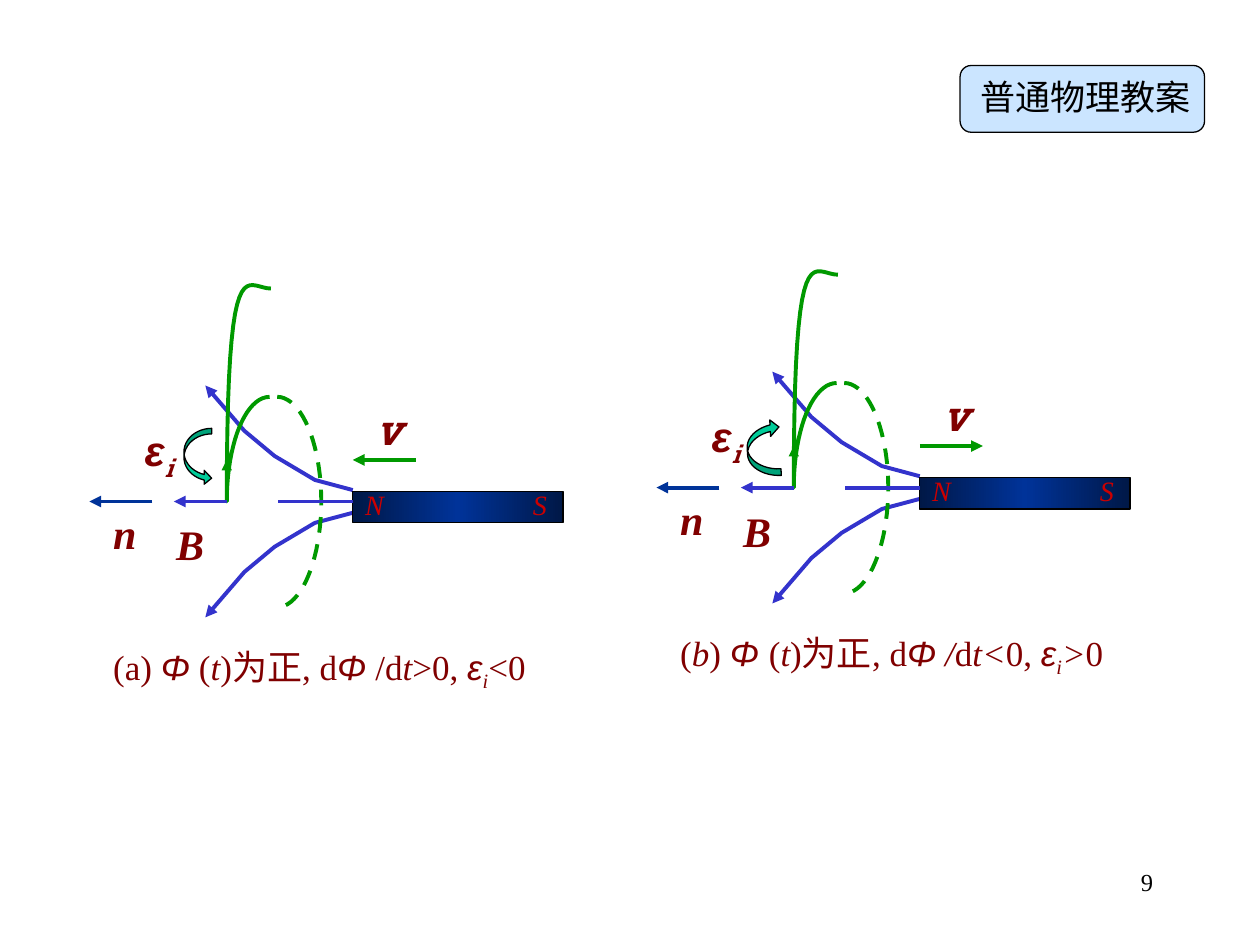
from copy import deepcopy
from dataclasses import dataclass

from lxml.etree import SubElement
from pptx import Presentation
from pptx.dml.color import RGBColor
from pptx.enum.dml import MSO_LINE
from pptx.enum.shapes import MSO_CONNECTOR, MSO_SHAPE
from pptx.enum.text import PP_ALIGN
from pptx.oxml.ns import qn
from pptx.util import Inches, Pt


@dataclass(frozen=True)
class Theme:
    black: str = "000000"
    field: str = "3333CC"
    coil: str = "009900"
    magnet: str = "003399"
    magnet_edge: str = "001847"
    pole: str = "CC0000"
    label: str = "800000"
    turn: str = "00CC99"
    banner: str = "99CCFF"
    serif: str = "Times New Roman"
    sans: str = "Arial"
    slab: str = "Roboto Slab"
    number_size: float = 14
    pole_size: float = 16
    text_size: float = 20
    symbol_size: float = 24
    thin: float = 0.75
    medium: float = 1.5
    thick: float = 2.25


THEME = Theme()
ROMAN = {}
ITALIC = {"italic": True}
GREEK = {"italic": True, "font": THEME.sans}
INDEX = {"italic": True, "subscript": True}
SYMBOL = {"size": THEME.symbol_size, "bold": True, "italic": True}

CAPTION_A = [("(a) ", ROMAN), ("Φ", GREEK), (" (", ROMAN), ("t", ITALIC), (")为正, d", ROMAN),
             ("Φ", GREEK), (" /d", ROMAN), ("t", ITALIC), (">0, ", ROMAN), ("ε", GREEK),
             ("i", INDEX), ("<0", ROMAN)]
CAPTION_B = [("(", ROMAN), ("b", ITALIC), (") ", ROMAN), ("Φ ", GREEK), ("(", ROMAN),
             ("t", ITALIC), (")为正, d", ROMAN), ("Φ", GREEK), (" /", ITALIC), ("d", ROMAN),
             ("t<", ITALIC), ("0, ", ROMAN), ("ε", GREEK), ("i", INDEX), (">", ITALIC),
             ("0", ROMAN)]


def write(para, text, *, font=THEME.serif, size=THEME.text_size, color=THEME.label,
          bold=False, italic=False, subscript=False):
    span = para.add_run()
    span.text = text
    span.font.name, span.font.size = font, Pt(size)
    span.font.bold, span.font.italic = bold, italic
    span.font.color.rgb = RGBColor.from_string(color)
    if subscript:
        span.font._element.set("baseline", "-25000")


def add_text(shapes, left, top, width, height, spans, align=PP_ALIGN.LEFT, inset=True):
    """Add a text box whose spans are (text, format) pairs."""
    box = shapes.add_textbox(Inches(left), Inches(top), Inches(width), Inches(height))
    frame = box.text_frame
    frame.word_wrap = True
    if not inset:
        frame.margin_left = frame.margin_right = frame.margin_top = frame.margin_bottom = 0
    para = frame.paragraphs[0]
    para.alignment = align
    for text, style in spans:
        write(para, text, **style)


def style_line(line, color, width=THEME.thick, arrow=False, dashed=False):
    line.color.rgb = RGBColor.from_string(color)
    line.width = Pt(width)
    if dashed:
        line.dash_style = MSO_LINE.DASH
    if arrow:
        SubElement(line._get_or_add_ln(), qn("a:tailEnd"), type="triangle")


def add_line(shapes, start, end, color, **style):
    line = shapes.add_connector(MSO_CONNECTOR.STRAIGHT, *map(Inches, start + end))
    style_line(line.line, color, **style)
    SubElement(line._element.spPr, qn("a:effectLst"))


def add_path(shapes, points, color, **style):
    """Draw an open outline through the points."""
    corners = [(Inches(x), Inches(y)) for x, y in points]
    builder = shapes.build_freeform(*corners[0])
    builder.add_line_segments(corners[1:], close=False)
    outline = builder.convert_to_shape()
    outline.fill.background()
    outline.shadow.inherit = False
    style_line(outline.line, color, **style)


def add_block(shapes, kind, left, top, width, height, color):
    block = shapes.add_shape(kind, Inches(left), Inches(top), Inches(width), Inches(height))
    block.shadow.inherit = False
    block.fill.solid()
    block.fill.fore_color.rgb = RGBColor.from_string(color)
    style_line(block.line, THEME.black, THEME.thin)
    return block


def bezier(*controls, steps=20):
    """Return points along a cubic curve with four control points."""
    points = []
    for step in range(steps + 1):
        t = step / steps
        weights = ((1 - t) ** 3, 3 * t * (1 - t) ** 2, 3 * t * t * (1 - t), t ** 3)
        points.append(tuple(sum(w * c[axis] for w, c in zip(weights, controls))
                            for axis in (0, 1)))
    return points


def add_magnet(shapes, x, y):
    magnet = add_block(shapes, MSO_SHAPE.RECTANGLE, x, y - 0.08, 1.67, 0.25, THEME.magnet)
    magnet.fill.gradient()
    magnet.fill.gradient_angle = 0
    stops = magnet._element.spPr.find(".//" + qn("a:gsLst"))
    stops.insert(1, deepcopy(stops[0]))
    colors = (THEME.magnet_edge, THEME.magnet, THEME.magnet_edge)
    for stop, position, color in zip(magnet.fill.gradient_stops, (0, 0.5, 1), colors):
        stop.position = position
        stop.color.rgb = RGBColor.from_string(color)
    pole = {"size": THEME.pole_size, "italic": True, "color": THEME.pole}
    for name, shift in (("N", 0), ("S", 1.33)):
        add_text(shapes, x + shift, y - 0.16, 0.58, 0.37, [(name, pole)])


def add_coil(shapes, x, y):
    """Draw the loop, solid in front and dashed behind; x, y is its left point."""
    front = bezier((x + 0.34, y - 0.83), (x + 0.15, y - 0.83), (x, y - 0.46), (x, y))
    front += bezier((x, y), (x, y - 2.07), (x + 0.15, y - 1.69), (x + 0.35, y - 1.69))[1:]
    back = bezier((x + 0.4, y - 0.83), (x + 0.59, y - 0.83), (x + 0.75, y - 0.46), (x + 0.75, y))
    back += bezier((x + 0.75, y), (x + 0.75, y + 0.46), (x + 0.59, y + 0.84), (x + 0.4, y + 0.84))[1:]
    add_path(shapes, front, THEME.coil)
    add_path(shapes, back, THEME.coil, dashed=True)


def add_experiment(slide, x, y, approaching, caption):
    """Draw one magnet and coil; x, y is the magnet's left end on the axis."""
    shapes = slide.shapes.add_group_shape().shapes
    field_line = ((0, 0.09), (-0.3, 0.17), (-0.62, 0.36), (-0.86, 0.56), (-1.17, 0.92))
    for side in (1, -1):
        add_path(shapes, [(x + dx, y + side * dy) for dx, dy in field_line],
                 THEME.field, arrow=True)
    add_magnet(shapes, x, y)
    add_coil(shapes, x - 1, y)
    add_line(shapes, (x, y), (x - 0.59, y), THEME.field)
    add_line(shapes, (x - 1, y), (x - 1.42, y), THEME.field, arrow=True)
    add_line(shapes, (x - 1, y - 0.16), (x - 1, y - 0.33), THEME.coil,
             width=THEME.medium, arrow=True)
    add_line(shapes, (x - 1.59, y), (x - 2.09, y), THEME.magnet, arrow=True)
    motion = [(x, y - 0.33), (x + 0.5, y - 0.33)]
    if approaching:
        motion.reverse()
    add_line(shapes, *motion, THEME.coil, arrow=True)

    slab = SYMBOL | {"font": THEME.slab}
    emf = [("ε", SYMBOL | {"font": THEME.sans}), ("i", slab | {"subscript": True})]
    labels = ((-2, 0, [("n", SYMBOL)]), (-1.5, 0.09, [("B", SYMBOL)]),
              (0.08, -0.83, [("v", slab)]), (-1.75, -0.66, emf))
    for dx, dy, spans in labels:
        add_text(shapes, x + dx, y + dy, 0.92, 0.5, spans)
    add_text(shapes, x - 2, y + 1.09, 3.83, 0.48, caption)


def add_turn(slide, kind, left, top, width, rotation=0):
    """Add the curved arrow for the direction of the induced voltage."""
    turn = add_block(slide.shapes, kind, left, top, width, 0.45, THEME.turn)
    turn.rotation = rotation
    for index, value in enumerate((0.2, 0.5, 0.27)):
        turn.adjustments[index] = value


def add_banner(slide):
    shapes = slide.shapes.add_group_shape().shapes
    banner = add_block(shapes, MSO_SHAPE.ROUNDED_RECTANGLE, 7.62, 0.52, 1.94, 0.53, THEME.banner)
    color = banner._element.spPr.find(qn("a:solidFill"))[0]
    SubElement(color, qn("a:alpha"), val="50000")
    add_text(shapes, 7.78, 0.6, 1.94, 0.39, [("普通物理教案", {"color": THEME.black})],
             align=PP_ALIGN.JUSTIFY, inset=False)


def main():
    deck = Presentation()
    deck.slide_width, deck.slide_height = Inches(10), Inches(7.5)
    page = deck.slides.add_slide(deck.slide_layouts[6])
    number = {"size": THEME.number_size, "color": THEME.black}
    add_text(page.shapes, 7.17, 6.83, 2.08, 0.5, [("9", number)], align=PP_ALIGN.RIGHT)
    add_experiment(page, 2.8, 3.98, True, CAPTION_A)
    add_experiment(page, 7.3, 3.87, False, CAPTION_B)
    add_banner(page)
    add_turn(page, MSO_SHAPE.CURVED_RIGHT_ARROW, 1.46, 3.4, 0.22)
    add_turn(page, MSO_SHAPE.CURVED_LEFT_ARROW, 5.93, 3.33, 0.26, rotation=177.2)
    deck.save("out.pptx")


if __name__ == "__main__":
    main()
